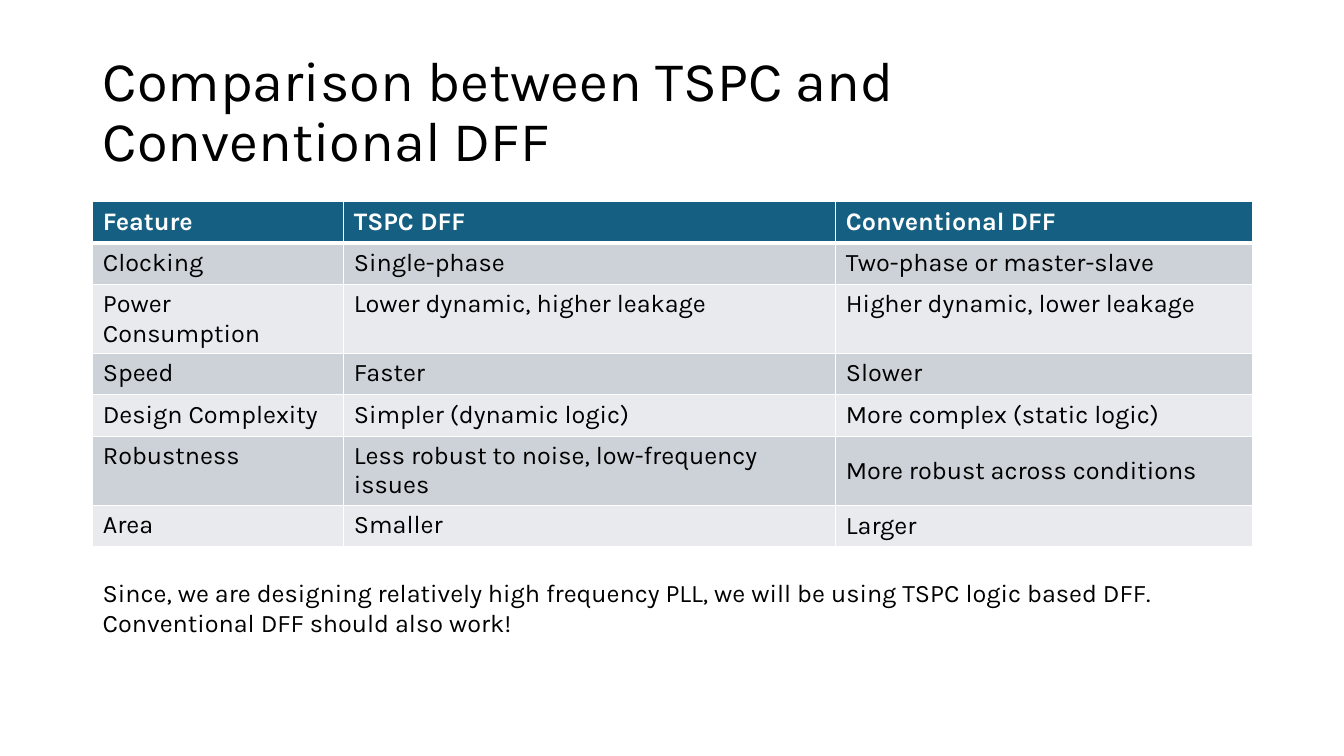
from dataclasses import dataclass

from lxml import etree
from pptx import Presentation
from pptx import util as u
from pptx.dml.color import RGBColor
from pptx.enum import text
from pptx.oxml import ns


@dataclass(frozen=True)
class Theme:
    font: str = "Karla"
    title_size: int = 40
    body_size: int = 18
    ink: str = "000000"
    paper: str = "FFFFFF"
    header: str = "156082"
    bands: tuple = ("CCD2D8", "E8EAED")
    grid_width: float = 1
    header_rule_width: float = 3


class ComparisonSlide:
    def __init__(self, deck, theme):
        self.theme = theme
        self.slide = deck.slides.add_slide(deck.slide_layouts[5])

    def style(self, frame, size, color, bold=False):
        for paragraph in frame.paragraphs:
            paragraph.alignment = text.PP_ALIGN.LEFT
            for run in paragraph.runs:
                run.font.name = self.theme.font
                run.font.size = u.Pt(size)
                run.font.bold = bold
                run.font.color.rgb = RGBColor.from_string(color)

    def title(self, wording, left, top, width, height):
        heading = self.slide.shapes.title
        heading.left, heading.top = u.Inches(left), u.Inches(top)
        heading.width, heading.height = u.Inches(width), u.Inches(height)
        frame = heading.text_frame
        frame.text = wording
        frame.word_wrap = True
        frame.auto_size = text.MSO_AUTO_SIZE.NONE
        frame.vertical_anchor = text.MSO_ANCHOR.MIDDLE
        frame.paragraphs[0].line_spacing = 0.9
        self.style(frame, self.theme.title_size, self.theme.ink)

    def note(self, wording, left, top, width, height):
        box = self.slide.shapes.add_textbox(
            u.Inches(left), u.Inches(top), u.Inches(width), u.Inches(height))
        frame = box.text_frame
        frame.text = wording
        frame.word_wrap = True
        frame.auto_size = text.MSO_AUTO_SIZE.SHAPE_TO_FIT_TEXT
        self.style(frame, self.theme.body_size, self.theme.ink)

    def borders(self, cell, top, bottom):
        """Draw the cell's four edges; top and bottom are widths in points."""
        properties = cell._tc.get_or_add_tcPr()
        side = self.theme.grid_width
        for edge, width in (("L", side), ("R", side), ("T", top), ("B", bottom)):
            line = etree.SubElement(
                properties, ns.qn(f"a:ln{edge}"), w=str(u.Pt(width)))
            fill = etree.SubElement(line, ns.qn("a:solidFill"))
            etree.SubElement(fill, ns.qn("a:srgbClr"), val=self.theme.paper)

    def table(self, rows, left, top, widths, row_height, centred):
        """Add a table; centred holds the (row, column) of mid-anchored body cells."""
        theme = self.theme
        grid = self.slide.shapes.add_table(
            len(rows), len(widths), u.Inches(left), u.Inches(top),
            u.Inches(sum(widths)), u.Inches(row_height * len(rows))).table
        for column, width in zip(grid.columns, widths):
            column.width = u.Inches(width)
        for r, row in enumerate(rows):
            grid.rows[r].height = u.Inches(row_height)
            is_header = r == 0
            fill = theme.header if is_header else theme.bands[(r - 1) % 2]
            upper = theme.header_rule_width if r == 1 else theme.grid_width
            lower = theme.header_rule_width if is_header else theme.grid_width
            for c, wording in enumerate(row):
                cell = grid.cell(r, c)
                cell.text_frame.text = wording
                middle = is_header or (r, c) in centred
                cell.vertical_anchor = (
                    text.MSO_ANCHOR.MIDDLE if middle else text.MSO_ANCHOR.TOP)
                self.borders(cell, upper, lower)
                cell.fill.solid()
                cell.fill.fore_color.rgb = RGBColor.from_string(fill)
                self.style(cell.text_frame, theme.body_size,
                           theme.paper if is_header else theme.ink, is_header)


FEATURES = [
    ("Feature", "TSPC DFF", "Conventional DFF"),
    ("Clocking", "Single-phase", "Two-phase or master-slave"),
    ("Power Consumption", "Lower dynamic, higher leakage",
     "Higher dynamic, lower leakage"),
    ("Speed", "Faster", "Slower"),
    ("Design Complexity", "Simpler (dynamic logic)", "More complex (static logic)"),
    ("Robustness", "Less robust to noise, low-frequency issues",
     "More robust across conditions"),
    ("Area", "Smaller", "Larger"),
]


def main():
    deck = Presentation()
    deck.slide_width, deck.slide_height = u.Inches(13.33), u.Inches(7.5)
    slide = ComparisonSlide(deck, Theme())
    left = 0.92
    slide.title("Comparison between TSPC and Conventional DFF", left, 0.4, 11.5, 1.45)
    slide.table(FEATURES, left, 2, (2.49, 4.88, 4.13), 0.41,
                centred={(r, 2) for r in (1, 4, 5, 6)})
    slide.note("Since, we are designing relatively high frequency PLL, we will be "
               "using TSPC logic based DFF. Conventional DFF should also work!",
               left, 5.68, 11.92, 0.71)
    deck.save("out.pptx")


if __name__ == "__main__":
    main()
